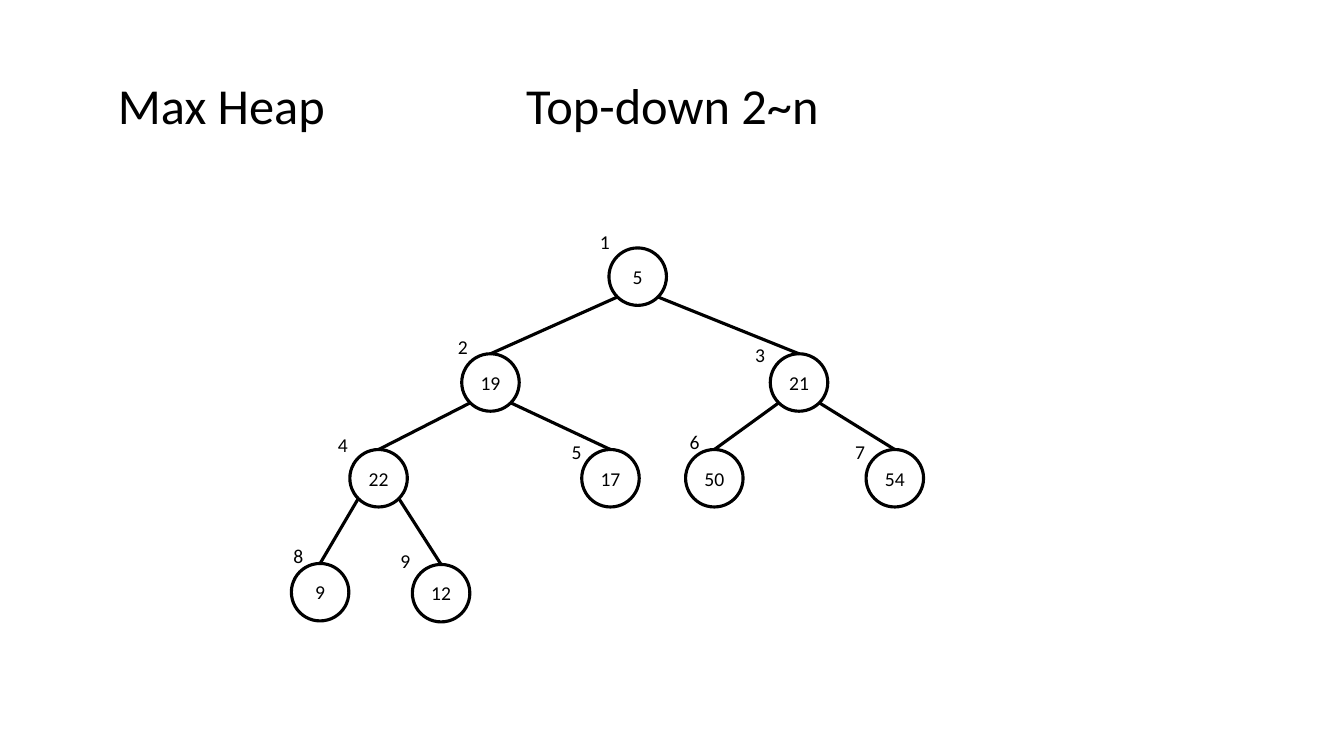
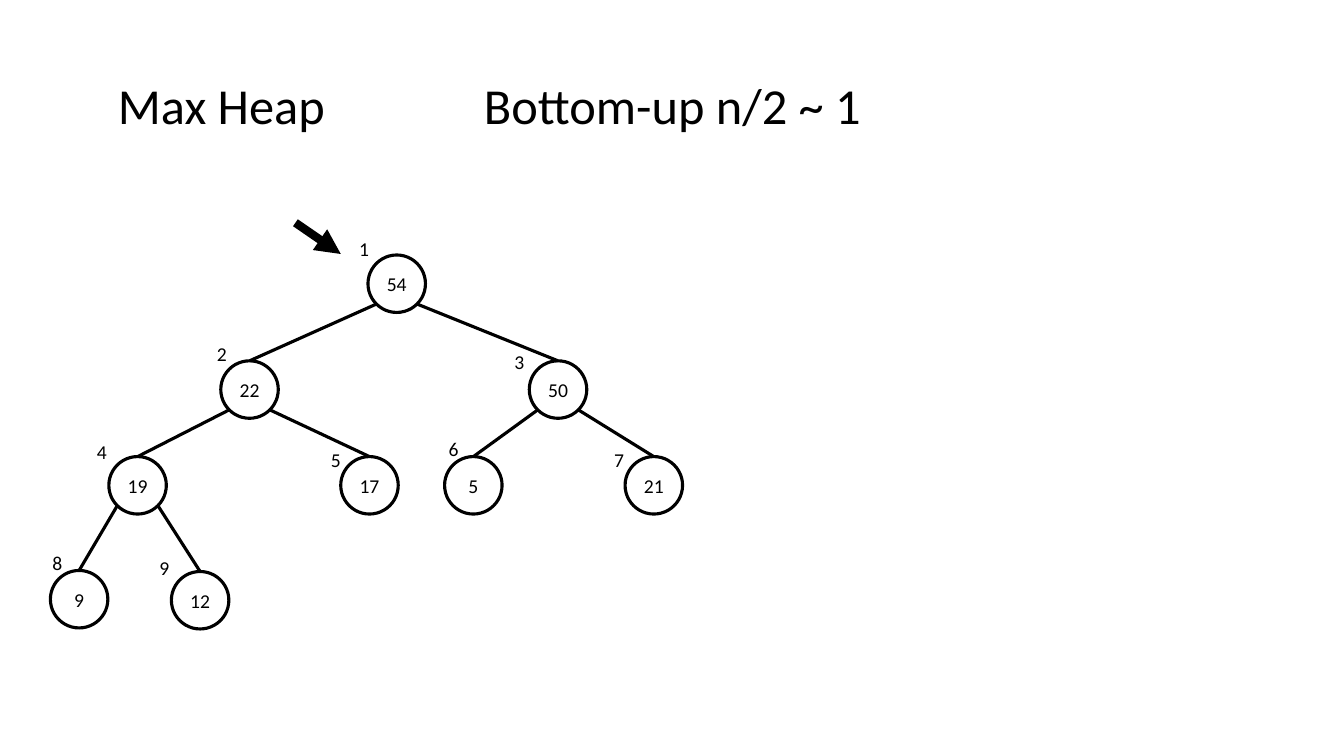
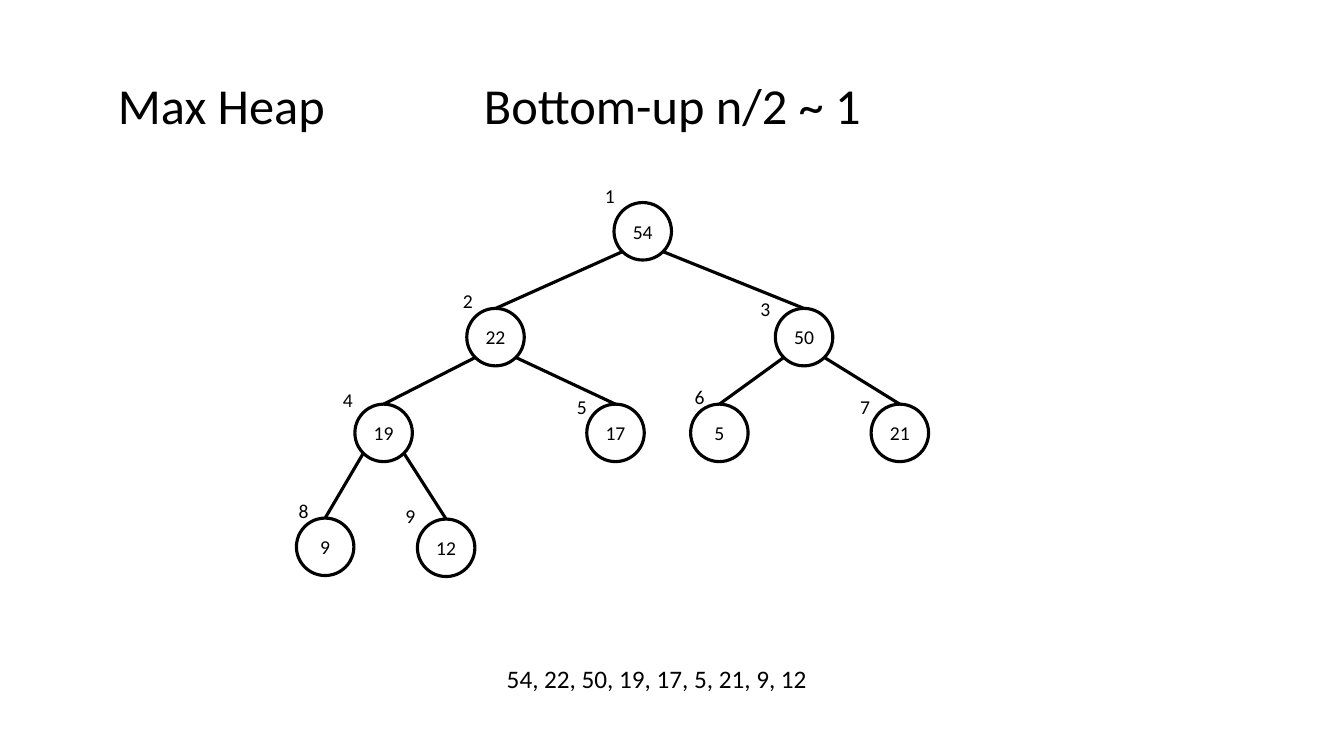
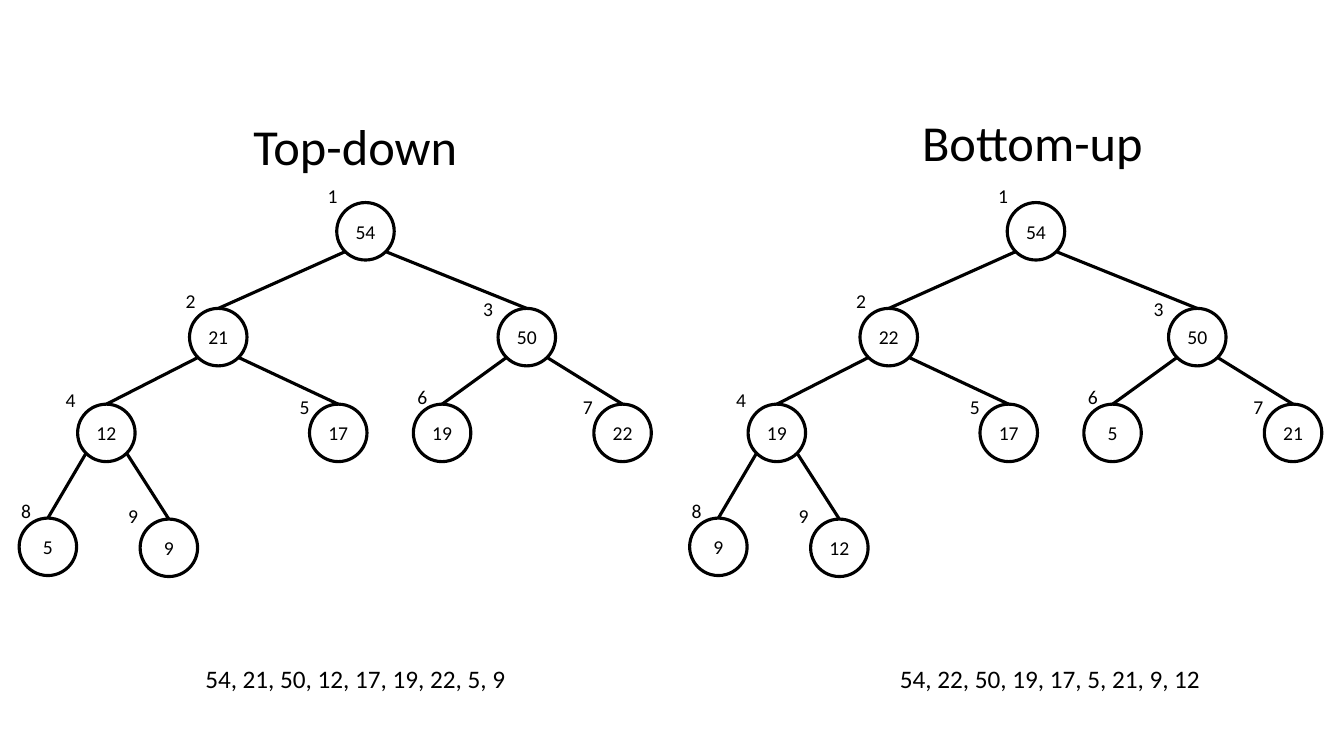
import math

from lxml import etree
from pptx import Presentation
from pptx.dml.color import RGBColor
from pptx.enum import shapes, text
from pptx.oxml import ns
from pptx.util import Inches, Pt

BLACK = RGBColor(0x00, 0x00, 0x00)
FONT = "Calibri"
TITLE_SIZE = 36
CAPTION_SIZE = 18
NODE_SIZE = 14
EDGE_WIDTH = 2.25
POINTER_WIDTH = 6
DIAMETER = 0.57

NODE_OFFSETS = [
    (0, 0),
    (-1.46, 1.05), (1.6, 1.05),
    (-2.57, 2), (-0.27, 2), (0.76, 2), (2.55, 2),
    (-3.15, 3.13), (-1.95, 3.14),
]
INDEX_OFFSETS = [
    (-0.33, -0.23),
    (-0.28, -0.24), (-0.39, -0.16),
    (-0.36, -0.21), (-0.34, -0.14), (-0.2, -0.24), (-0.35, -0.14),
    (-0.22, -0.24), (-0.36, -0.2),
]

INITIAL_VALUES = [5, 19, 21, 22, 17, 50, 54, 9, 12]
TOP_DOWN_HEAP = [54, 21, 50, 12, 17, 19, 22, 5, 9]
BOTTOM_UP_HEAP = [54, 22, 50, 19, 17, 5, 21, 9, 12]


class HeapDeck:
    def __init__(self):
        self.presentation = Presentation()
        self.presentation.slide_width = Inches(13.33)
        self.presentation.slide_height = Inches(7.5)
        self.slide = None

    def add_slide(self):
        layout = self.presentation.slide_layouts[6]
        self.slide = self.presentation.slides.add_slide(layout)

    def add_text(self, frame, content, size):
        paragraph = frame.paragraphs[0]
        paragraph.alignment = text.PP_ALIGN.CENTER
        run = paragraph.add_run()
        run.text = content
        run.font.name = FONT
        run.font.size = Pt(size)
        run.font.color.rgb = BLACK

    def label(self, content, left, top, width, height, size, parent=None):
        parent = parent or self.slide
        box = parent.shapes.add_textbox(
            Inches(left), Inches(top), Inches(width), Inches(height))
        box.text_frame.word_wrap = True
        box.text_frame.auto_size = text.MSO_AUTO_SIZE.SHAPE_TO_FIT_TEXT
        self.add_text(box.text_frame, content, size)

    def title(self, content, left, top, width=6.32):
        self.label(content, left, top, width, 0.71, TITLE_SIZE)

    def heading(self, method):
        self.title(method, 3.51, 0.69)
        self.title("Max Heap", 0.5, 0.69, 3.39)

    def caption(self, values, left):
        content = ", ".join(str(value) for value in values)
        self.label(content, left, 6.53, 9.59, 0.4, CAPTION_SIZE)

    def line(self, start, end, width, parent=None):
        parent = parent or self.slide
        connector = parent.shapes.add_connector(
            shapes.MSO_CONNECTOR.STRAIGHT,
            *[Inches(length) for length in (*start, *end)])
        connector.line.color.rgb = BLACK
        connector.line.width = Pt(width)
        properties = connector.element.find(ns.qn("p:spPr"))
        etree.SubElement(properties, ns.qn("a:effectLst"))
        return connector

    def pointer(self, start, end):
        connector = self.line(start, end, POINTER_WIDTH)
        outline = connector.element.find(".//" + ns.qn("a:ln"))
        etree.SubElement(outline, ns.qn("a:tailEnd"), type="triangle")

    def node(self, value, left, top, group):
        shape = group.shapes.add_shape(
            shapes.MSO_SHAPE.OVAL, Inches(left), Inches(top),
            Inches(DIAMETER), Inches(DIAMETER))
        shape.shadow.inherit = False
        shape.fill.background()
        shape.line.color.rgb = BLACK
        shape.line.width = Pt(EDGE_WIDTH)
        frame = shape.text_frame
        frame.margin_left = frame.margin_right = 0
        frame.margin_top = frame.margin_bottom = 0
        frame.vertical_anchor = text.MSO_ANCHOR.MIDDLE
        self.add_text(frame, str(value), NODE_SIZE)
        return shape

    def edge(self, parent, child, child_node, side, group):
        radius = DIAMETER / 2
        reach = radius * math.sqrt(0.5)
        start = (parent[0] + radius + side * reach, parent[1] + radius + reach)
        end = (child[0] + radius, child[1])
        connector = self.line(start, end, EDGE_WIDTH, group)
        connector.end_connect(child_node, 0)

    def tree(self, values, left, top):
        group = self.slide.shapes.add_group_shape()
        places = [(left + x, top + y) for x, y in NODE_OFFSETS]
        nodes = [self.node(value, *place, group)
                 for value, place in zip(values, places)]
        for child in range(1, len(nodes)):
            parent = (child - 1) // 2
            side = -1 if child % 2 else 1
            self.edge(places[parent], places[child], nodes[child], side, group)
        for index, (place, offset) in enumerate(zip(places, INDEX_OFFSETS), 1):
            self.label(str(index), place[0] + offset[0], place[1] + offset[1],
                       0.58, 0.34, NODE_SIZE, group)


def main():
    deck = HeapDeck()

    deck.add_slide()
    deck.heading("Top-down 2~n")
    deck.tree(INITIAL_VALUES, 6.04, 2.46)

    deck.add_slide()
    deck.heading("Bottom-up n/2 ~ 1")
    deck.tree(BOTTOM_UP_HEAP, 3.65, 2.53)
    deck.pointer((2.93, 2.21), (3.38, 2.52))

    deck.add_slide()
    deck.heading("Bottom-up n/2 ~ 1")
    deck.tree(BOTTOM_UP_HEAP, 6.09, 2.01)
    deck.caption(BOTTOM_UP_HEAP, 1.72)

    deck.add_slide()
    deck.title("Bottom-up", 7.08, 1.05)
    deck.tree(TOP_DOWN_HEAP, 3.34, 2.01)
    deck.caption(TOP_DOWN_HEAP, -1.27)
    deck.tree(BOTTOM_UP_HEAP, 9.99, 2.01)
    deck.caption(BOTTOM_UP_HEAP, 5.62)
    deck.title("Top-down ", 0.42, 1.09)

    deck.presentation.save("out.pptx")


if __name__ == "__main__":
    main()
